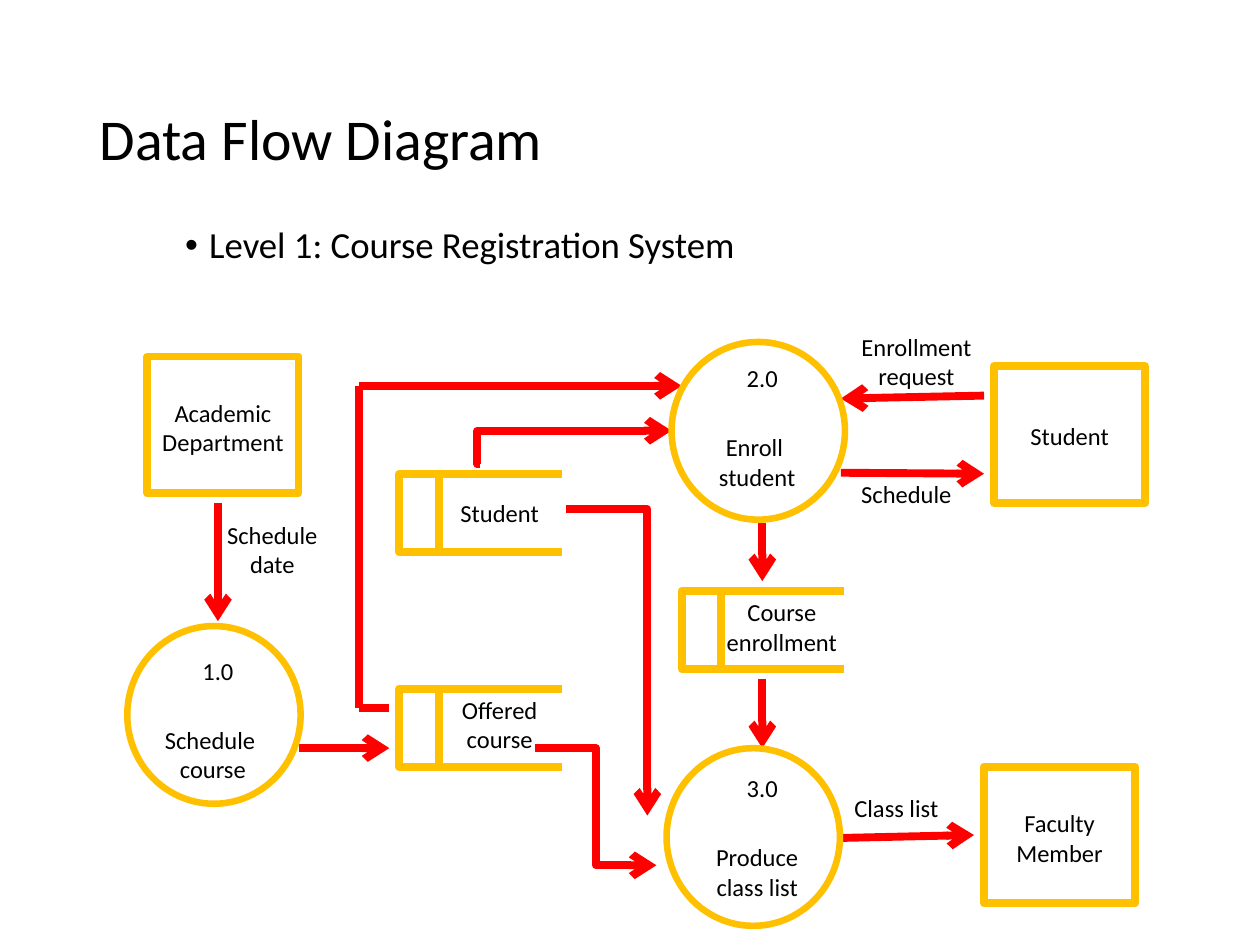
from typing import NamedTuple, Optional

from lxml.etree import SubElement
from pptx import Presentation
from pptx.dml.color import RGBColor
from pptx.enum.shapes import MSO_CONNECTOR as CONN, MSO_SHAPE as SHAPE
from pptx.enum.text import MSO_ANCHOR, MSO_AUTO_SIZE as FIT, PP_ALIGN
from pptx.oxml.ns import qn
from pptx.util import Inches, Pt

FONT, BLACK, GOLD, RED = "Calibri", "000000", "FFC000", "FF0000"

# Diagram grid: origin and cell size in inches
LEFT, TOP, COL, ROW = 1.01, 2.83, 0.08, 0.62 / 8
LINE_ROWS, PAD_ROWS = 3, 1.4


class Label(NamedTuple):
    col: float
    row: float
    text: str
    cols: float = 15


class Entity(NamedTuple):
    col: float
    row: float
    text: str


class Process(NamedTuple):
    col: float
    row: float
    text_col: float
    text_row: float
    number: str
    text: str


class Store(NamedTuple):
    col: float
    row: float
    text: str


class Flow(NamedTuple):
    start: tuple[float, float]
    end: tuple[float, float]
    arrow: bool = True
    preset: str = "line"
    bend: Optional[float] = None


ENTITIES = [
    Entity(2, 0, "Academic Department"),
    Entity(85, 42, "Faculty\nMember"),
    Entity(86, 1, "Student"),
]
STORES = [
    Store(27, 34, "Offered\ncourse"),
    Store(27, 12, "Student"),
    Store(55, 24, "Course\nenrollment"),
]
FLOWS = [
    Flow((85, 4), (70.8, 4.3)),
    Flow((70.8, 11.9), (85, 12)),
    Flow((63, 33), (63, 40.1)),
    Flow((63, 17), (63, 23)),
    Flow((70.8, 49.3), (84, 49)),
    Flow((43.5, 15.6), (51.6, 47), preset="bentConnector2"),
    Flow((40.5, 40.1), (52.5, 52.1), preset="bentConnector3", bend=0.5),
    Flow((17, 40.1), (26, 40.1)),
    Flow((35, 11), (54, 7.6), preset="bentConnector3", bend=-0.014),
    Flow((23, 3), (55, 3)),
    Flow((23, 3), (23, 36), arrow=False),
    Flow((23, 36), (26, 36), arrow=False),
    Flow((9, 15), (9, 27.1)),
]
LABELS = [
    Label(6.9, 16.1, "Schedule\ndate"),
    Label(70.8, -3.2, "Enrollment\nrequest"),
    Label(69.8, 11.9, "Schedule"),
    Label(68.8, 44.1, "Class list"),
]
PROCESSES = [
    Process(54, -1.5, 54, 0, "2.0", "Enroll \nstudent"),
    Process(53.5, 40.1, 54, 42, "3.0", "Produce\nclass list"),
    Process(0, 27.6, 0, 30, "1.0", "Schedule \ncourse"),
]


def rgb(value: str) -> RGBColor:
    return RGBColor.from_string(value)


def x(col: float) -> int:
    return Inches(LEFT + col * COL)


def y(row: float) -> int:
    return Inches(TOP + row * ROW)


def style_text(p, size: float) -> None:
    for r in p.runs:
        r.font.name, r.font.size = FONT, Pt(size)
        r.font.color.rgb = rgb(BLACK)


def draw_outline(s, preset, col, row, cols, rows, width: float = 4.5) -> None:
    sp = s.shapes.add_shape(preset, x(col), y(row), Inches(cols * COL), Inches(rows * ROW))
    sp.shadow.inherit = False
    sp.fill.background()
    sp.line.color.rgb, sp.line.width = rgb(GOLD), Pt(width)


def draw_label(s, label: Label) -> None:
    lines = label.text.count("\n") + 1
    if label.text == "Academic Department":  # wraps onto two lines
        lines = 2
    height = Inches((lines * LINE_ROWS + PAD_ROWS) * ROW)
    tf = s.shapes.add_textbox(x(label.col), y(label.row), Inches(label.cols * COL), height).text_frame
    tf.word_wrap, tf.auto_size = True, FIT.SHAPE_TO_FIT_TEXT
    tf.text = label.text
    for p in tf.paragraphs:
        p.alignment = PP_ALIGN.CENTER
        style_text(p, 14)


def draw_line(s, flow: Flow, color: str) -> None:
    kind = CONN.STRAIGHT if flow.preset == "line" else CONN.ELBOW
    (c1, r1), (c2, r2) = flow.start, flow.end
    sp = s.shapes.add_connector(kind, x(c1), y(r1), x(c2), y(r2))
    sp.line.color.rgb, sp.line.width = rgb(color), Pt(4.5)
    props = sp._element.spPr
    geom = props.find(qn("a:prstGeom"))
    geom.set("prst", flow.preset)
    if flow.bend is not None:
        guides = geom.find(qn("a:avLst"))
        SubElement(guides, qn("a:gd"), name="adj1", fmla=f"val {round(flow.bend * 100000)}")
    if flow.arrow:
        SubElement(props.find(qn("a:ln")), qn("a:tailEnd"), type="arrow")
    SubElement(props, qn("a:effectLst"))


def draw_entity(s, e: Entity) -> None:
    draw_outline(s, SHAPE.RECTANGLE, e.col, e.row, 15, 14)
    drop = 5 if e.text == "Student" else 3.6
    draw_label(s, Label(e.col, e.row + drop, e.text))


def draw_store(s, st: Store) -> None:
    for row in (st.row, st.row + 8):
        draw_line(s, Flow((st.col, row), (st.col + 16.1, row), arrow=False), GOLD)
    draw_outline(s, SHAPE.RECTANGLE, st.col, st.row, 3.9, 8)
    drop = 0 if "\n" in st.text else 1.9
    draw_label(s, Label(st.col + 1.9, st.row + drop, st.text, 16.1))


def draw_process(s, pr: Process) -> None:
    draw_label(s, Label(pr.text_col, pr.text_row + 7.1, pr.text, 17))
    draw_label(s, Label(pr.text_col + 4, pr.text_row, pr.number, 10))
    draw_outline(s, SHAPE.OVAL, pr.col, pr.row, 17.2, 18.2, 3.75)


def fill_placeholder(sp, box: tuple, text: str, size: float):
    sp.left, sp.top, sp.width, sp.height = (Inches(v) for v in box)
    tf = sp.text_frame
    tf.text, tf.word_wrap, tf.auto_size = text, True, FIT.NONE
    p = tf.paragraphs[0]
    p.alignment, p.line_spacing, p.space_before = PP_ALIGN.LEFT, 0.9, Pt(0)
    style_text(p, size)
    return tf


def main() -> None:
    prs = Presentation()
    prs.slide_width, prs.slide_height = Inches(10), Inches(7.5)
    s = prs.slides.add_slide(prs.slide_layouts[1])

    # Title and bulleted subtitle
    title, body = s.placeholders[0], s.placeholders[1]
    tf = fill_placeholder(title, (0.69, 0.4, 8.62, 1.45), "Data Flow Diagram", 33)
    tf.vertical_anchor = MSO_ANCHOR.MIDDLE
    tf = fill_placeholder(body, (1.37, 1.75, 8.5, 4.5), "Level 1: Course Registration System", 21)
    props = tf.paragraphs[0]._p.get_or_add_pPr()
    props.set("marL", str(Inches(0.19)))
    props.set("indent", str(-Inches(0.19)))
    SubElement(props, qn("a:buFont"), typeface="Arial")
    SubElement(props, qn("a:buChar"), char="•")

    # Diagram, from back to front
    for entity in ENTITIES:
        draw_entity(s, entity)
    for store in STORES:
        draw_store(s, store)
    for flow in FLOWS:
        draw_line(s, flow, RED)
    for label in LABELS:
        draw_label(s, label)
    for process in PROCESSES:
        draw_process(s, process)

    prs.save("out.pptx")


if __name__ == "__main__":
    main()
